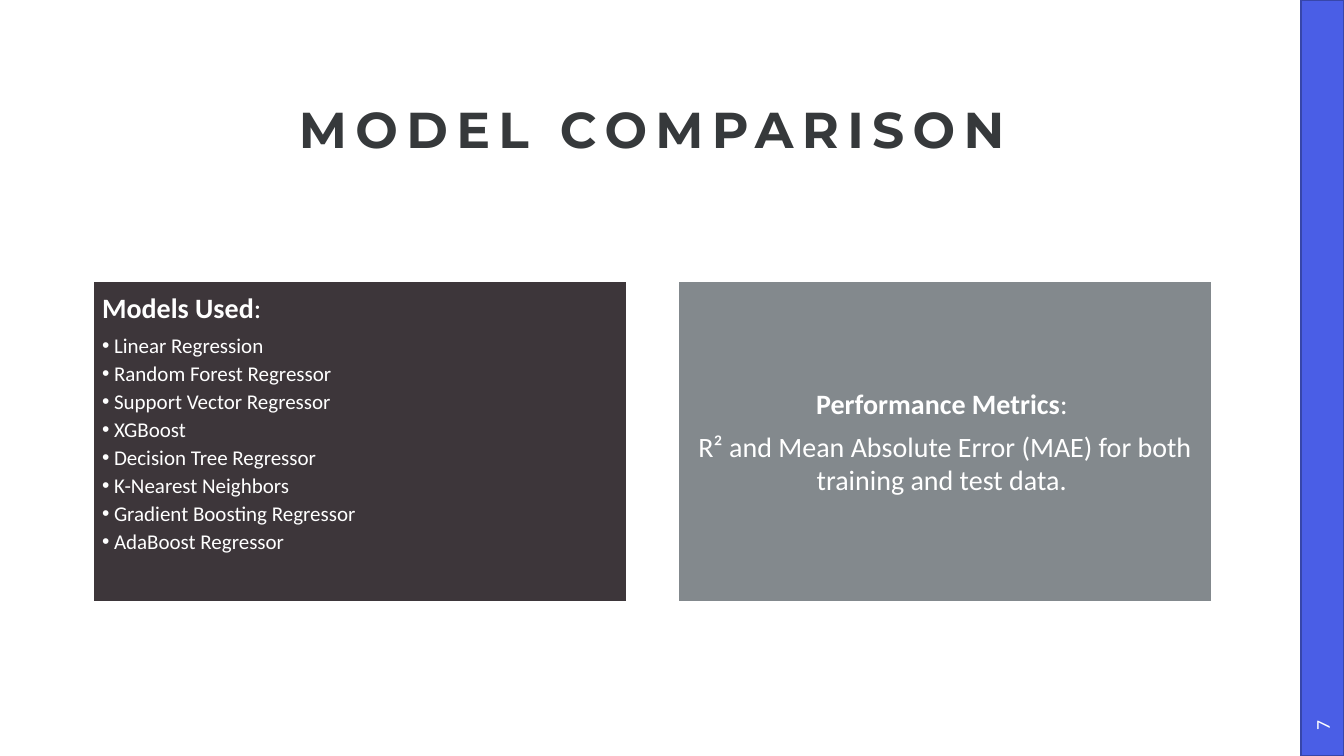
from lxml import etree
from pptx import Presentation
from pptx.dml.color import RGBColor
from pptx.enum.shapes import MSO_SHAPE
from pptx.enum.text import MSO_ANCHOR, MSO_AUTO_SIZE, PP_ALIGN
from pptx.oxml.ns import qn
from pptx.util import Pt

PX = 9071.43  # EMU per px
LEFT, CENTER = PP_ALIGN.LEFT, PP_ALIGN.CENTER
TOP, MIDDLE = MSO_ANCHOR.TOP, MSO_ANCHOR.MIDDLE
RECT = MSO_SHAPE.RECTANGLE
NO_FIT = MSO_AUTO_SIZE.NONE

WHITE = RGBColor(0xFF, 0xFF, 0xFF)
INK = RGBColor(0x36, 0x39, 0x3B)
BLUE = RGBColor(0x4A, 0x5E, 0xE6)
BLUE_EDGE = RGBColor(0x37, 0x46, 0xAA)
DARK = RGBColor(0x3D, 0x36, 0x3A)
GREY = RGBColor(0x83, 0x89, 0x8D)

MODELS = [
    "Linear Regression",
    "Random Forest Regressor",
    "Support Vector Regressor",
    "XGBoost",
    "Decision Tree Regressor",
    "K-Nearest Neighbors",
    "Gradient Boosting Regressor",
    "AdaBoost Regressor",
]


def px(n):
    return round(n * PX)


def write(p, *texts, size=20, font="Calibri", color=WHITE, bold=False,
          align=LEFT, after=0, line=1.0, bullet=None, spacing=0):
    """Fill a paragraph with runs; bold applies to the first run only."""
    pPr = p._p.get_or_add_pPr()
    indent = px(12) if bullet else 0
    pPr.set("marL", str(indent))
    pPr.set("indent", str(-indent))
    if bullet:
        etree.SubElement(pPr, qn("a:buChar")).set("char", bullet)
    else:
        etree.SubElement(pPr, qn("a:buNone"))
    p.alignment = align
    p.line_spacing = line
    p.space_before = Pt(0)
    p.space_after = Pt(after)
    for i, text in enumerate(texts):
        r = p.add_run()
        r.text = text
        r.font.name = font
        r.font.size = Pt(size)
        r.font.bold = bold and i == 0
        r.font.color.rgb = color
        if spacing:
            r._r.get_or_add_rPr().set("spc", str(spacing * 100))


prs = Presentation()
prs.slide_width, prs.slide_height = px(1344), px(756)
s = prs.slides.add_slide(prs.slide_layouts[3])
title, models, metrics = s.placeholders

# Side bar
bar = s.shapes.add_shape(RECT, px(1301), 0, px(43), px(756))
bar.shadow.inherit = False
bar.fill.solid()
bar.fill.fore_color.rgb = BLUE
bar.line.color.rgb = BLUE_EDGE
bar.line.width = Pt(1)

# Slide number
number = s.shapes.add_textbox(px(1291), px(704), px(62), px(42))
number.rotation = 270
number.text_frame.word_wrap = True
number.text_frame.vertical_anchor = MIDDLE
write(number.text_frame.paragraphs[0], "7", size=14, align=CENTER, after=6)

# Placeholder frames: title and two filled panels
frames = [
    (title, 94, 97, 1116, 71, 0, MIDDLE, None),
    (models, 94, 282, 532, 319, 8, TOP, DARK),
    (metrics, 679, 282, 532, 319, 8, MIDDLE, GREY),
]
for sp, x, y, w, h, inset, anchor, fill in frames:
    sp.left, sp.top, sp.width, sp.height = px(x), px(y), px(w), px(h)
    tf = sp.text_frame
    tf.word_wrap = True
    tf.auto_size = NO_FIT
    tf.vertical_anchor = anchor
    tf.margin_left = tf.margin_right = px(inset)
    tf.margin_top = tf.margin_bottom = px(inset)
    if fill is not None:
        sp.fill.solid()
        sp.fill.fore_color.rgb = fill

# Title
write(title.text_frame.paragraphs[0], "MODEL COMPARISON", size=36,
      font="Montserrat", color=INK, bold=True, align=CENTER, line=0.9,
      spacing=6)

# Models panel
tf = models.text_frame
write(tf.paragraphs[0], "Models Used", ":", bold=True, after=6.3)
for model in MODELS:
    p = tf.add_paragraph()
    p.level = 1
    write(p, model, size=15, bullet="•", after=2)

# Metrics panel
tf = metrics.text_frame
write(tf.paragraphs[0], "Performance Metrics", ": ", bold=True, align=CENTER,
      after=6.3)
write(tf.add_paragraph(),
      "R² and Mean Absolute Error (MAE) for both training and test data. ",
      align=CENTER, after=6.3)

prs.save("out.pptx")
